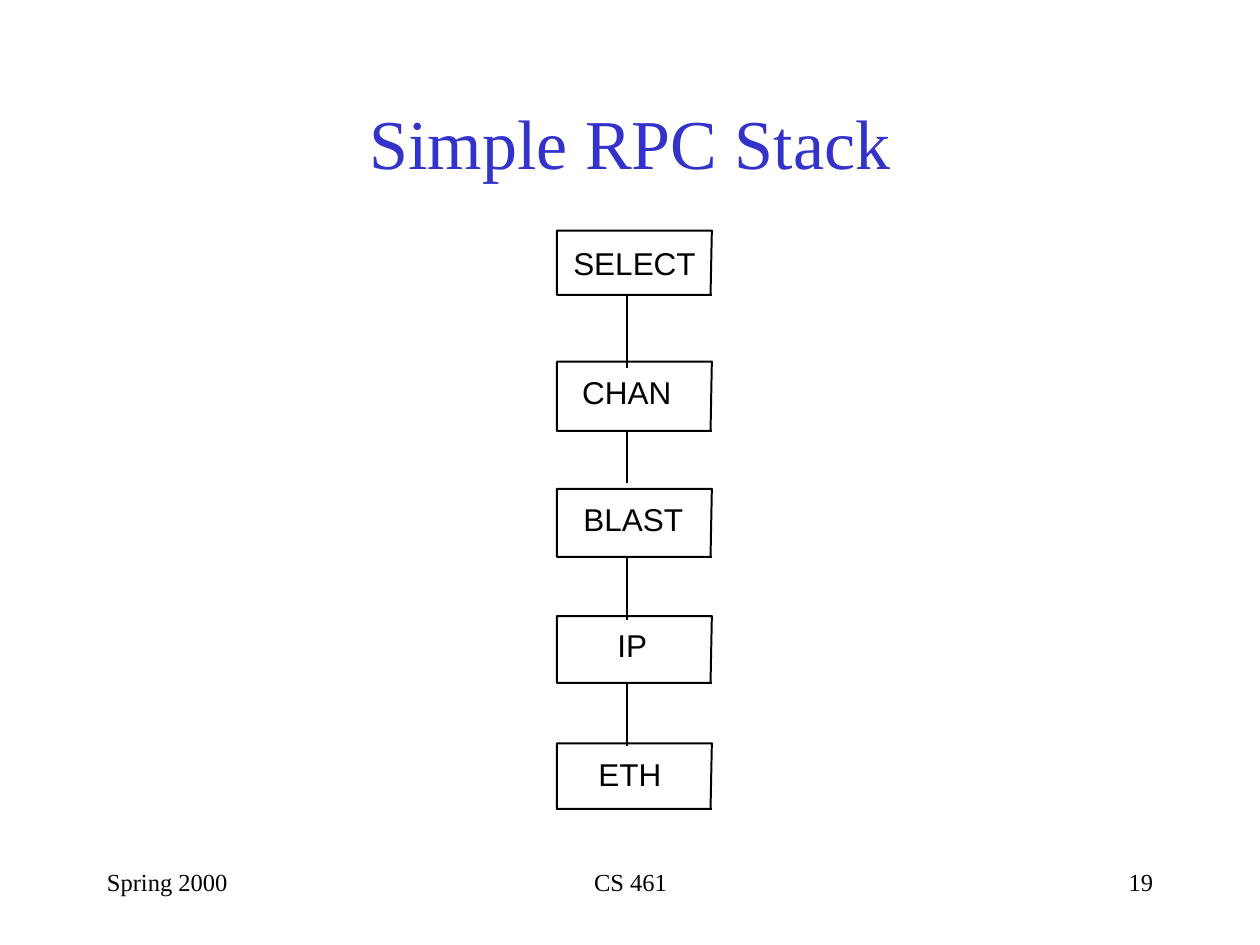
from dataclasses import dataclass

from lxml import etree
from pptx import Presentation
from pptx import util as u
from pptx.dml.color import RGBColor
from pptx.enum import shapes, text
from pptx.oxml.ns import qn


@dataclass(frozen=True)
class Theme:
    serif: str = "Times New Roman"
    sans: str = "Arial"
    ink: str = "000000"
    heading: str = "3333CC"
    title_size: int = 40
    layer_size: int = 18
    footer_size: int = 14
    line_width: float = 1.13


THEME = Theme()
LEFT, RIGHT = 4.42, 5.65    # sides of the layer column
LINK_X = 4.98               # the links run down this line
LABEL_HEIGHT = 0.3

# Layer name, top, bottom, label left, label top, label width, end of link below
LAYERS = [
    ("SELECT", 1.83, 2.34, 4.55, 1.94, 1.0, 2.92),
    ("CHAN", 2.87, 3.42, 4.62, 2.96, 0.74, 3.83),
    ("BLAST", 3.88, 4.42, 4.63, 3.97, 0.82, 4.92),
    ("IP", 4.89, 5.42, 4.9, 4.97, 0.27, 5.92),
    ("ETH", 5.9, 6.42, 4.75, 5.99, 0.53, None),
]

# Footer text, left, width, alignment
FOOTERS = [
    ("Spring 2000", 0.75, 2.08, text.PP_ALIGN.LEFT),
    ("CS 461", 3.42, 3.17, text.PP_ALIGN.CENTER),
    ("19", 7.17, 2.08, text.PP_ALIGN.RIGHT),
]


def write(frame, words, *, size, font, color=THEME.ink,
          align=text.PP_ALIGN.LEFT, anchor=text.MSO_ANCHOR.TOP,
          wrap=True, inset=(0.1, 0.05)):
    """Put one formatted line of text into a frame."""
    frame.word_wrap = wrap
    frame.auto_size = (text.MSO_AUTO_SIZE.NONE if wrap
                       else text.MSO_AUTO_SIZE.SHAPE_TO_FIT_TEXT)
    frame.vertical_anchor = anchor
    frame.margin_left = frame.margin_right = u.Inches(inset[0])
    frame.margin_top = frame.margin_bottom = u.Inches(inset[1])
    line = frame.paragraphs[0]
    line.alignment = align
    run = line.add_run()
    run.text = words
    run.font.size = u.Pt(size)
    run.font.name = font
    run.font.color.rgb = RGBColor.from_string(color)


def add_label(slide, words, left, top, width, height, **style):
    label = slide.shapes.add_textbox(*map(u.Inches, (left, top, width, height)))
    write(label.text_frame, words, **style)


def ink_line(line):
    line.color.rgb = RGBColor.from_string(THEME.ink)
    line.width = u.Pt(THEME.line_width)


def add_outline(slide, top, bottom):
    """Draw a layer as an open outline with a slightly leaning right side."""
    corners = [(RIGHT - 0.01, bottom - 0.01), (RIGHT, top), (LEFT, top),
               (LEFT, bottom), (RIGHT, bottom)]
    start, *rest = [(u.Inches(x), u.Inches(y)) for x, y in corners]
    pen = slide.shapes.build_freeform(*start)
    pen.add_line_segments(rest, close=False)
    outline = pen.convert_to_shape()
    outline.shadow.inherit = False
    outline.fill.background()
    ink_line(outline.line)


def add_link(slide, top, bottom):
    link = slide.shapes.add_connector(
        shapes.MSO_CONNECTOR.STRAIGHT,
        *map(u.Inches, (LINK_X, top, LINK_X, bottom)))
    ink_line(link.line)
    etree.SubElement(link.element.spPr, qn("a:effectLst"))


def add_title(slide, words):
    title = slide.shapes.title
    title.left, title.top, title.width, title.height = map(
        u.Inches, (0.75, 0.5, 8.5, 1.25))
    write(title.text_frame, words, size=THEME.title_size, font=THEME.serif,
          color=THEME.heading, align=text.PP_ALIGN.CENTER,
          anchor=text.MSO_ANCHOR.MIDDLE)


def main():
    deck = Presentation()
    deck.slide_width, deck.slide_height = u.Inches(10), u.Inches(7.5)
    slide = deck.slides.add_slide(deck.slide_layouts[5])
    add_title(slide, "Simple RPC Stack")

    # Protocol stack, from the top layer down
    for name, top, bottom, label_x, label_y, label_width, link_end in LAYERS:
        add_outline(slide, top, bottom)
        add_label(slide, name, label_x, label_y, label_width, LABEL_HEIGHT,
                  size=THEME.layer_size, font=THEME.sans, wrap=False,
                  inset=(0, 0))
        if link_end:
            add_link(slide, bottom, link_end)

    # Footer row
    for words, left, width, align in FOOTERS:
        add_label(slide, words, left, 6.83, width, 0.5,
                  size=THEME.footer_size, font=THEME.serif, align=align)

    deck.save("out.pptx")


if __name__ == "__main__":
    main()
